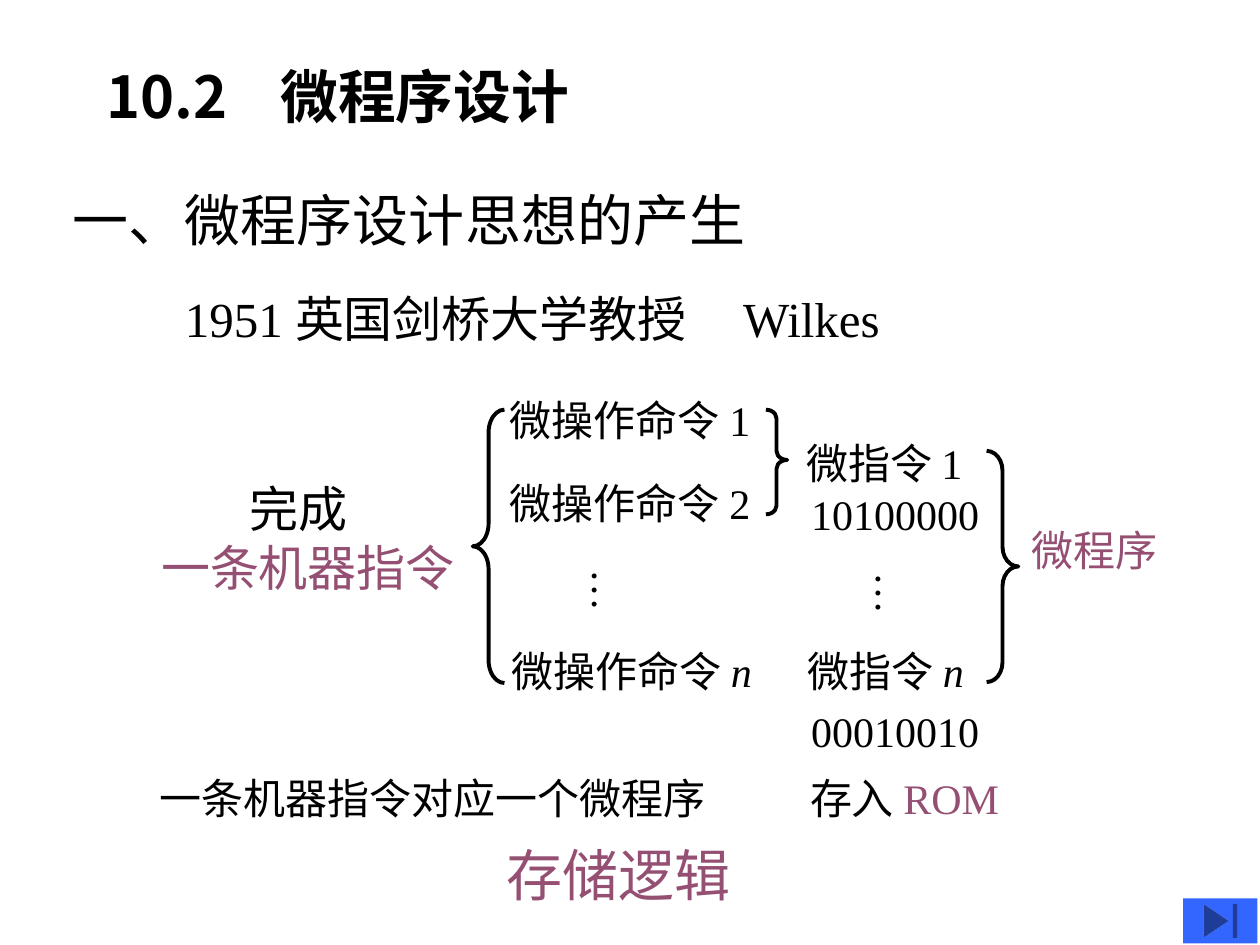
from lxml import etree
from pptx import Presentation
from pptx.dml.color import RGBColor
from pptx.enum import shapes, text
from pptx.oxml.ns import qn
from pptx.util import Cm, Pt

COLORS = {"ink": "000000", "accent": "954F72", "button": "3366FF"}
SANS, SERIF = "Noto Sans CJK SC", "Times New Roman"


class SlideBuilder:
    """Holds the text style and the current slide."""

    def __init__(self, slide, latin=SERIF, asian=SANS):
        self.slide, self.latin, self.asian = slide, latin, asian

    def style(self, run, size, color="ink", latin=None):
        run.font.size = Pt(size)
        run.font.name = latin or self.latin
        run.font.color.rgb = RGBColor.from_string(COLORS[color])
        asian = etree.SubElement(run._r.get_or_add_rPr(), qn("a:ea"))
        asian.set("typeface", self.asian)

    def tab_stop(self, paragraph, position):
        tabs = etree.SubElement(paragraph._p.get_or_add_pPr(), qn("a:tabLst"))
        etree.SubElement(tabs, qn("a:tab"), pos=str(Cm(position)), algn="l")

    def title(self, words, left, top, width, height, tab):
        heading = self.slide.shapes.title
        heading.left, heading.top = Cm(left), Cm(top)
        heading.width, heading.height = Cm(width), Cm(height)
        frame = heading.text_frame
        frame.text = words
        frame.vertical_anchor = text.MSO_ANCHOR.MIDDLE
        line = frame.paragraphs[0]
        line.alignment = text.PP_ALIGN.LEFT
        line.line_spacing = 0.9
        self.tab_stop(line, tab)
        for run in line.runs:
            self.style(run, 33, latin=SANS)
            run.font.bold = True

    def label(self, words, left, top, width, height=1.27, size=24,
              color="ink", wrap=False):
        box = self.slide.shapes.add_textbox(Cm(left), Cm(top), Cm(width), Cm(height))
        frame = box.text_frame
        frame.word_wrap = wrap
        frame.text = words
        for paragraph in frame.paragraphs:
            for run in paragraph.runs:
                self.style(run, size, color)
        return frame

    def append(self, frame, words, size=24, color="ink", italic=None):
        run = frame.paragraphs[-1].add_run()
        run.text = words
        self.style(run, size, color)
        run.font.italic = italic

    def vertical_dots(self, left, top):
        frame = self.label("…", left, top, 1.52, 1.12)
        body = frame._txBody.bodyPr
        body.set("vert", "eaVert")
        frame.margin_left = frame.margin_right = Cm(0.13)
        frame.margin_top = frame.margin_bottom = Cm(0.25)

    def brace(self, kind, left, top, width, height, curve, middle=0.5):
        brace = self.slide.shapes.add_shape(kind, Cm(left), Cm(top), Cm(width), Cm(height))
        brace.shadow.inherit = False
        brace.fill.background()
        brace.line.color.rgb = RGBColor.from_string(COLORS["ink"])
        brace.line.width = Pt(2.25)
        brace.adjustments[0], brace.adjustments[1] = curve, middle

    def end_button(self, left, top, width, height):
        button = self.slide.shapes.add_shape(
            shapes.MSO_SHAPE.ACTION_BUTTON_END, Cm(left), Cm(top), Cm(width), Cm(height))
        button.shadow.inherit = False
        button.fill.solid()
        button.fill.fore_color.rgb = RGBColor.from_string(COLORS["button"])
        button.line.fill.background()


def main():
    deck = Presentation()
    deck.slide_width, deck.slide_height = Cm(25.4), Cm(19.05)
    page = SlideBuilder(deck.slides.add_slide(deck.slide_layouts[5]))
    left_brace, right_brace = shapes.MSO_SHAPE.LEFT_BRACE, shapes.MSO_SHAPE.RIGHT_BRACE

    # Headings
    page.title("10.2\t微程序设计", 1.9, 0.43, 21.59, 3.18, tab=3.5)
    page.label("一、微程序设计思想的产生", 1.22, 3.61, 16.97, 1.63, size=32, wrap=True)
    origin = page.label("1951 英国剑桥大学教授\tWilkes", 3.48, 5.69, 14.75, 1.45,
                        size=28, wrap=True)
    page.tab_stop(origin.paragraphs[0], 11.25)

    # Machine instruction
    instruction = page.label("完成\n", 3, 9.53, 6.6, 2.64, size=28, wrap=True)
    instruction.paragraphs[0]._p.get_or_add_pPr().set("marL", str(Cm(1.78)))
    page.append(instruction, "一条机器指令", 28, "accent")
    page.brace(left_brace, 9.53, 8.26, 0.64, 5.51, curve=0.72)

    # Micro-operation commands
    for number, top in (("1", 7.82), ("2", 9.5)):
        page.label(f"微操作命令 {number}", 10.03, top, 5.56)
    last_command = page.label("微操作命令 ", 10.06, 12.88, 5.56)
    page.append(last_command, "n", italic=True)
    page.vertical_dots(11.4, 11.23)
    page.brace(right_brace, 15.44, 8.26, 0.43, 2.11, curve=0.41, middle=0.48)

    # Microinstructions and their codes
    page.label("微指令 1", 16, 8.69, 3.86)
    last_instruction = page.label("微指令 ", 16.03, 12.88, 3.86)
    page.append(last_instruction, "n", italic=True)
    for code, top in (("10100000", 9.73), ("00010010", 14.1)):
        page.label(code, 16.1, top, 3.89)
    page.vertical_dots(17.12, 11.3)
    page.brace(right_brace, 19.89, 9.09, 0.64, 4.66, curve=0.62)
    page.label("微程序", 20.55, 10.44, 3.05, color="accent")

    # Conclusion
    page.label("一条机器指令对应一个微程序", 2.97, 15.44, 11.51)
    storage = page.label("存入 ", 16.08, 15.44, 5.08, wrap=True)
    page.append(storage, "ROM", color="accent")
    page.label("存储逻辑", 9.96, 16.81, 8.94, 1.63, size=32, color="accent", wrap=True)

    page.end_button(23.85, 18.11, 1.5, 0.91)
    deck.save("out.pptx")


if __name__ == "__main__":
    main()
